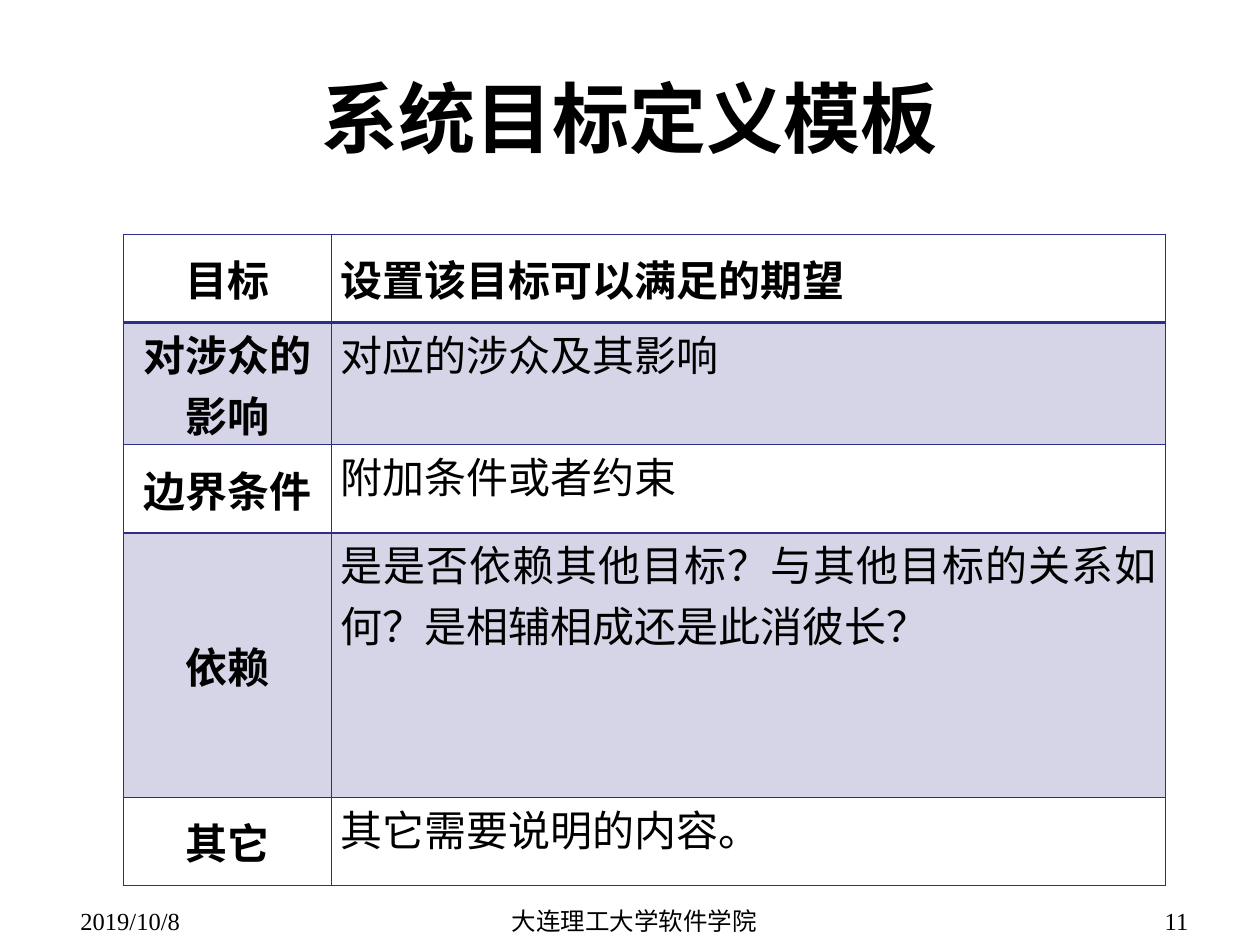
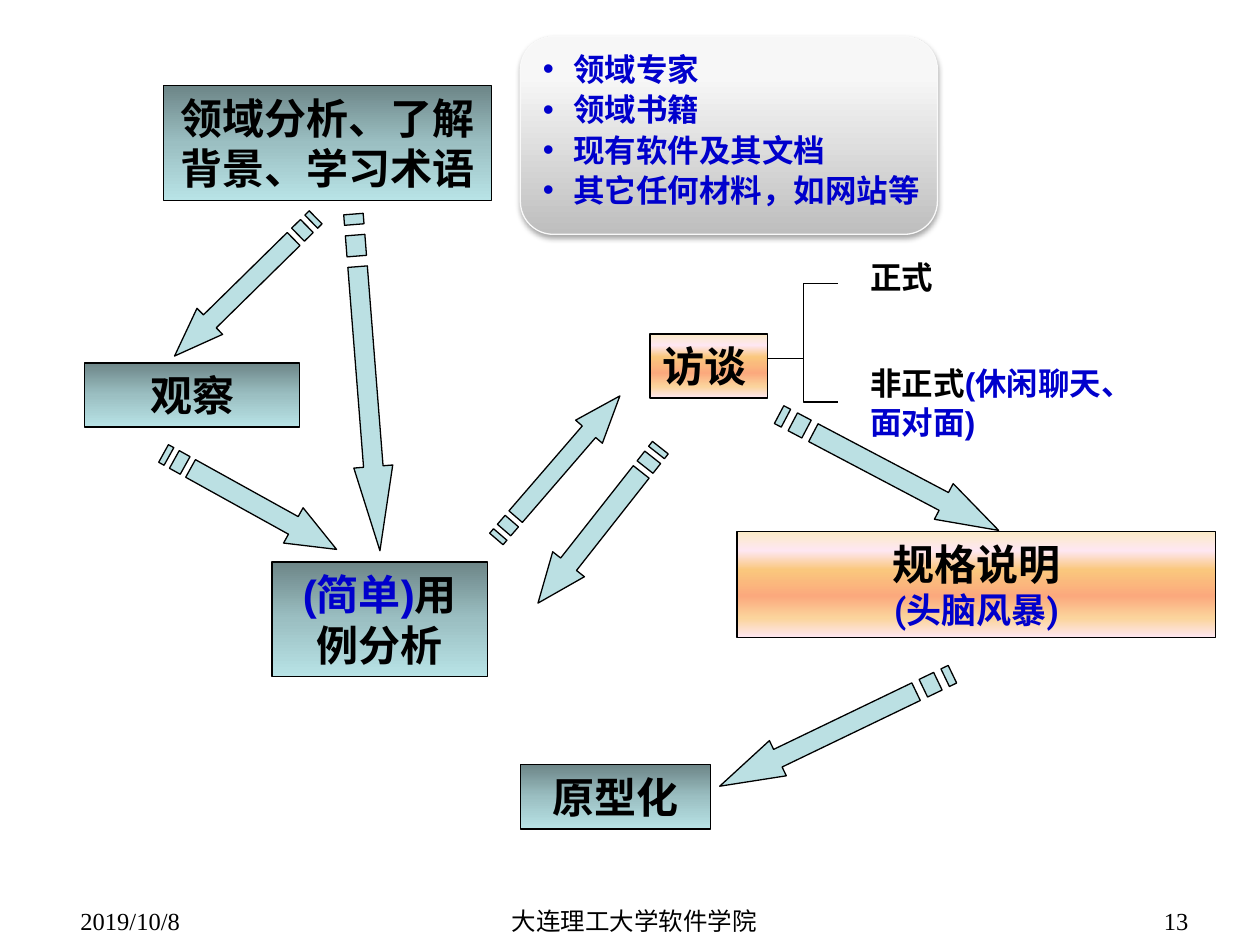
from dataclasses import dataclass

from lxml import etree
from pptx import Presentation
from pptx import util as u
from pptx.dml.color import RGBColor
from pptx.enum import shapes, text
from pptx.oxml.ns import qn

I = u.Inches
ALIGN = text.PP_ALIGN
SHAPE = shapes.MSO_SHAPE


@dataclass(frozen=True)
class Theme:
    ink: str = "000000"
    accent: str = "0000CC"
    rule: str = "2D2D8A"
    arrow: str = "BBE0E3"
    panel_line: str = "F9F9F9"
    teal: tuple = ((0, "6D8688"), (50, "9BBFC2"), (100, "B8E3E6"))
    peach: tuple = ((0, "FBEAC7"), (18, "FEE7F2"), (36, "FAC77D"),
                    (61, "FBA97D"), (82, "FBD49C"), (100, "FEE7F2"))
    silver: tuple = ((0, "BEBEBE"), (80, "F7F7F7"), (100, "F8F8F8"))
    head_font: str = "Roboto"
    body_font: str = "Arial"
    foot_font: str = "Times New Roman"
    cjk_font: str = "Noto Sans CJK KR"
    title: int = 44
    body: int = 24
    sub: int = 20
    note: int = 18
    foot: int = 14
    leading: float = 1.21


T = Theme()


def add_xml(parent, tag, **attrs):
    return etree.SubElement(parent, qn(tag), {k: str(v) for k, v in attrs.items()})


def format_run(r, size, font, color=T.ink, bold=True):
    f = r.font
    f.size, f.name, f.bold = u.Pt(size), font, bold
    f.color.rgb = RGBColor.from_string(color)
    add_xml(r._r.get_or_add_rPr(), "a:ea", typeface=T.cjk_font)


def add_runs(p, parts, size, font=T.body_font, bold=True, align=ALIGN.LEFT):
    p.alignment = align
    for words, color in parts:
        r = p.add_run()
        r.text = words
        format_run(r, size, font, color, bold)


def text_box(s, box, anchor=text.MSO_ANCHOR.TOP):
    tf = s.shapes.add_textbox(*map(I, box)).text_frame
    tf.word_wrap, tf.vertical_anchor = True, anchor
    return tf


def label(s, box, words, size, font, align, bold=False, anchor=text.MSO_ANCHOR.TOP):
    tf = text_box(s, box, anchor)
    add_runs(tf.paragraphs[0], [(words, T.ink)], size, font, bold, align)


def footer(s, number):
    for left, width, words, font, align in (
        (0.54, 2.33, "2019/10/8", T.foot_font, ALIGN.LEFT),
        (3.45, 3.17, "大连理工大学软件学院", T.cjk_font, ALIGN.CENTER),
        (7.2, 2.33, str(number), T.foot_font, ALIGN.RIGHT),
    ):
        label(s, (left, 7.14, width, 0.28), words, T.foot, font, align)


def gradient(sp, stops, angle):
    sp.fill.gradient()
    grad = sp._element.spPr.find(qn("a:gradFill"))
    for child in list(grad):
        grad.remove(child)
    gs_list = add_xml(grad, "a:gsLst")
    for pos, color in stops:
        add_xml(add_xml(gs_list, "a:gs", pos=pos * 1000), "a:srgbClr", val=color)
    add_xml(grad, "a:lin", ang=angle * 60000, scaled=0)


def outline(sp, color=T.ink):
    sp.shadow.inherit = False
    sp.line.color.rgb = RGBColor.from_string(color)
    sp.line.width = u.Pt(0.75)


def step_box(s, box, stops, lines, align=ALIGN.CENTER):
    sp = s.shapes.add_shape(SHAPE.RECTANGLE, *map(I, box))
    gradient(sp, stops, 90)
    outline(sp)
    tf = sp.text_frame
    tf.word_wrap, tf.vertical_anchor = True, text.MSO_ANCHOR.TOP
    for i, (parts, size, font) in enumerate(lines):
        p = tf.add_paragraph() if i else tf.paragraphs[0]
        p.line_spacing = u.Pt(round(size * T.leading))
        add_runs(p, parts, size, font, align=align)


def striped_arrow(s, left, top, width, height, angle):
    def at(points):
        return [(I(left + x * width), I(top + y * height)) for x, y in points]

    def bar(start, end):
        return at([(start, 0.25), (end, 0.25), (end, 0.75), (start, 0.75)])

    head = at([(0.75, 0), (0.75, 0.25), (5 / 32, 0.25), (5 / 32, 0.75),
               (0.75, 0.75), (0.75, 1), (1, 0.5)])
    fb = s.shapes.build_freeform(*head[0])
    fb.add_line_segments(head[1:], close=True)
    for stripe in (bar(1 / 16, 1 / 8), bar(0, 1 / 32)):
        fb.move_to(*stripe[0])
        fb.add_line_segments(stripe[1:], close=True)
    sp = fb.convert_to_shape()
    sp.rotation = angle
    sp.fill.solid()
    sp.fill.fore_color.rgb = RGBColor.from_string(T.arrow)
    outline(sp)


def panel(s, box):
    sp = s.shapes.add_shape(SHAPE.ROUNDED_RECTANGLE, *map(I, box))
    gradient(sp, T.silver, 270)
    outline(sp, T.panel_line)
    effects = sp._element.spPr.find(qn("a:effectLst"))
    shadow = add_xml(effects, "a:outerShdw", blurRad=u.Pt(3.1), dist=u.Pt(1.8),
                     dir=90 * 60000, rotWithShape=0)
    add_xml(add_xml(shadow, "a:srgbClr", val=T.ink), "a:alpha", val=35000)


def bullet_list(s, box, items):
    tf = text_box(s, box)
    for i, item in enumerate(items):
        p = tf.add_paragraph() if i else tf.paragraphs[0]
        p.line_spacing = u.Pt(15)
        if i:
            p.space_before = u.Pt(8)
        pPr = p._p.get_or_add_pPr()
        pPr.set("marL", str(I(0.24)))
        pPr.set("indent", str(-I(0.24)))
        add_xml(pPr, "a:buFont", typeface=T.body_font)
        add_xml(pPr, "a:buChar", char="•")
        add_runs(p, [(item, T.accent)], T.note)


def brace(s, box):
    sp = s.shapes.add_shape(SHAPE.LEFT_BRACE, *map(I, box))
    sp.adjustments[0], sp.adjustments[1] = 0, 0.631
    sp.fill.background()
    outline(sp)


def interview_kinds(s, box):
    tf = text_box(s, box)
    kinds = ([("正式", T.ink)], [("非正式", T.ink), ("(休闲聊天、面对面)", T.accent)])
    for i, parts in enumerate(kinds):
        p = tf.add_paragraph() if i else tf.paragraphs[0]
        p.line_spacing = u.Pt(round(T.note * T.leading))
        if i:
            p.space_before = u.Pt(39)
        add_runs(p, parts, T.note)


def cell_borders(cell, top, bottom):
    tcPr = cell._tc.get_or_add_tcPr()
    for i, (side, width) in enumerate((("L", 1), ("R", 1), ("T", top), ("B", bottom))):
        ln = add_xml(tcPr, f"a:ln{side}", w=u.Pt(width))
        add_xml(add_xml(ln, "a:solidFill"), "a:srgbClr", val=T.rule)
        tcPr.insert(i, ln)


def shade(cell):
    cell.fill.solid()
    cell.fill.fore_color.rgb = RGBColor.from_string(T.rule)
    add_xml(cell._tc.tcPr.find(".//" + qn("a:srgbClr")), "a:alpha", val=20000)


def goal_table(s, left, top, widths, heights, rows):
    box = (left, top, sum(widths), sum(heights))
    tbl = s.shapes.add_table(len(rows), len(widths), *map(I, box)).table
    tbl.first_row = tbl.horz_banding = False
    for col, width in zip(tbl.columns, widths):
        col.width = I(width)
    for i, (row, height) in enumerate(zip(rows, heights)):
        tbl.rows[i].height = I(height)
        for j, words in enumerate(row):
            cell = tbl.cell(i, j)
            key = i == 0 or j == 0
            cell.margin_left = cell.margin_right = I(0.07)
            cell.margin_top = cell.margin_bottom = 0
            cell.vertical_anchor = text.MSO_ANCHOR.MIDDLE if key else text.MSO_ANCHOR.TOP
            add_runs(cell.text_frame.paragraphs[0], [(words, T.ink)], T.body, T.head_font,
                     key, ALIGN.JUSTIFY if j else ALIGN.CENTER)
            if i % 2:
                shade(cell)
            else:
                cell.fill.background()
            cell_borders(cell, 2 if i == 1 else 1, 2 if i == 0 else 1)


def template_slide(s):
    label(s, (0.5, 0.3, 9, 1.25), "系统目标定义模板", T.title, T.head_font,
          ALIGN.CENTER, True, text.MSO_ANCHOR.MIDDLE)
    goal_table(s, 0.98, 1.86, (1.65, 6.62), (0.7, 0.97, 0.7, 2.1, 0.7), (
        ("目标", "设置该目标可以满足的期望"),
        ("对涉众的影响", "对应的涉众及其影响"),
        ("边界条件", "附加条件或者约束"),
        ("依赖", "是是否依赖其他目标？与其他目标的关系如何？是相辅相成还是此消彼长？"),
        ("其它", "其它需要说明的内容。"),
    ))
    footer(s, 11)


def process_slide(s):
    def line(*parts):
        return [(parts, T.body, T.body_font)]

    panel(s, (4.13, 0.29, 3.31, 1.57))
    footer(s, 13)
    step_box(s, (2.16, 4.46, 1.71, 0.91), T.teal,
             line(("(简单)", T.accent), ("用例分析", T.ink)))
    step_box(s, (5.16, 2.65, 0.93, 0.51), T.peach, line(("访谈", T.ink)), ALIGN.LEFT)
    step_box(s, (5.85, 4.22, 3.8, 0.84), T.peach, line(("规格说明", T.ink))
             + [([("(头脑风暴)", T.accent)], T.sub, T.head_font)])
    for box, words in (
        ((4.13, 6.07, 1.51, 0.51), "原型化"),
        ((1.3, 0.68, 2.6, 0.91), "领域分析、了解背景、学习术语"),
        ((0.67, 2.88, 1.71, 0.51), "观察"),
    ):
        step_box(s, box, T.teal, line((words, T.ink)))
    for arrow in (
        (3.68, 3.57, 1.5, 0.28, 310.8),
        (3.97, 4.01, 1.57, 0.32, 128.2),
        (6.07, 3.59, 1.97, 0.32, 27.8),
        (5.61, 5.64, 2.05, 0.31, 154.3),
        (1.16, 2.13, 1.57, 0.29, 135.5),
        (1.2, 3.82, 1.57, 0.32, 29),
        (1.57, 2.88, 2.68, 0.31, 85.5),
    ):
        striped_arrow(s, *arrow)
    brace(s, (6.1, 2.25, 0.55, 0.94))
    interview_kinds(s, (6.81, 1.99, 2.1, 1.6))
    bullet_list(s, (4.21, 0.44, 3.31, 1.33),
                ("领域专家", "领域书籍", "现有软件及其文档", "其它任何材料，如网站等"))


def main():
    prs = Presentation()
    prs.slide_width, prs.slide_height = I(10), I(7.5)
    for build in (template_slide, process_slide):
        build(prs.slides.add_slide(prs.slide_layouts[6]))
    prs.save("out.pptx")


if __name__ == "__main__":
    main()
